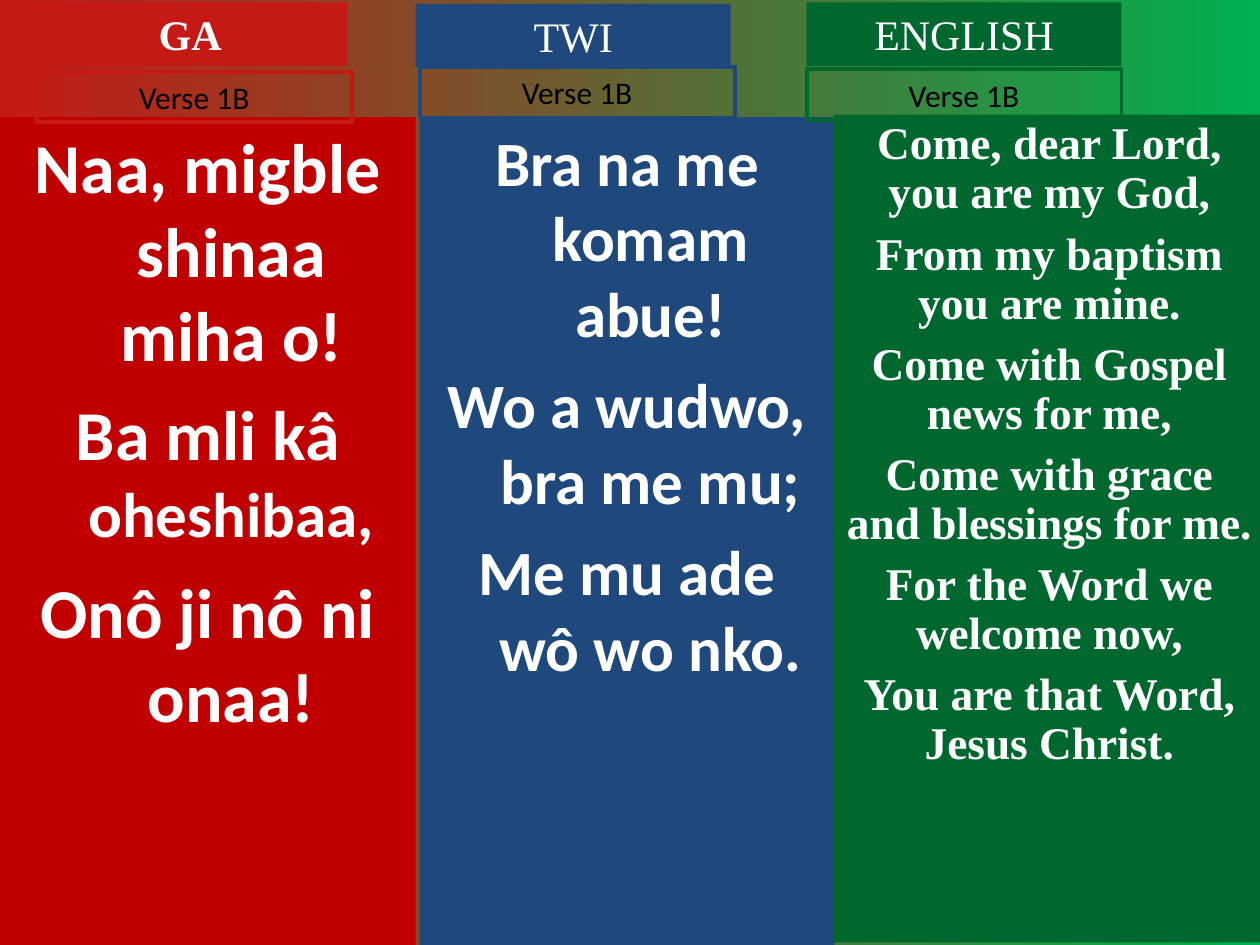
from pptx import Presentation
from pptx.dml.color import RGBColor
from pptx.enum import text
from pptx.util import Cm, Pt

SERIF, SANS = "Times New Roman", "Calibri"
WHITE, BLACK = "FFFFFF", "000000"
BACKDROP = ["C51915", "00B050"]
LABEL_WIDTH, TITLE_HEIGHT, VERSE_HEIGHT, BODY_HEIGHT = 6.35, 1.28, 1.02, 16.69
HANG = 0.95

COLUMNS = [
    {
        "title": "GA", "title_bold": True, "title_at": (0.66, 0.05),
        "verse_at": (0.74, 1.45), "accent": "C51915",
        "body_at": (0, 2.36), "body_width": 8.38, "fill": "C00000",
        "font": SANS, "hang": HANG, "line": 1.0,
        "lyrics": [
            (0, [("Naa, migble shinaa miha o!", 40)]),
            (9, [("Ba mli kâ ", 40), ("oheshibaa,", 36)]),
            (10, [("Onô ji nô ni onaa!", 40)]),
        ],
    },
    {
        "title": "TWI", "title_bold": False, "title_at": (8.38, 0.08),
        "verse_at": (8.46, 1.35), "accent": "1F497D",
        "body_at": (8.46, 2.36), "body_width": 8.36, "fill": "1F497D",
        "font": SANS, "hang": HANG, "line": 1.0,
        "lyrics": [
            (0, [("Bra na me komam abue!", 36)]),
            (9, [("Wo a wudwo, bra me mu;", 36)]),
            (9, [("Me mu ade wô wo nko.", 36)]),
        ],
    },
    {
        "title": "ENGLISH", "title_bold": False, "title_at": (16.26, 0.05),
        "verse_at": (16.26, 1.4), "accent": "00682F",
        "body_at": (16.81, 2.31), "body_width": 8.69, "fill": "00682F",
        "font": SERIF, "hang": 0, "line": 0.9,
        "lyrics": [
            (0, [("Come, dear Lord, you are my God,", 25.9)]),
            (7, [("From my baptism you are mine.", 25.9)]),
            (7, [("Come with Gospel news for me,", 25.9)]),
            (7, [("Come with grace and blessings for me.", 25.9)]),
            (7, [("For the Word we welcome now,", 25.9)]),
            (7, [("You are that Word, Jesus Christ.", 25.9)]),
        ],
    },
]


def color(value):
    return RGBColor.from_string(value)


def add_box(page, at, width, height, paragraphs, font, ink, bold=False,
            fill=None, outline=None, hang=0, line=1.0, grow=False):
    box = page.shapes.add_textbox(Cm(at[0]), Cm(at[1]), Cm(width), Cm(height))
    if fill:
        box.fill.solid()
        box.fill.fore_color.rgb = color(fill)
    if outline:
        box.line.color.rgb = color(outline)
        box.line.width = Pt(2.25)
    frame = box.text_frame
    frame.word_wrap = True
    if grow:
        frame.auto_size = text.MSO_AUTO_SIZE.SHAPE_TO_FIT_TEXT
    for index, (before, spans) in enumerate(paragraphs):
        para = frame.add_paragraph() if index else frame.paragraphs[0]
        para.alignment = text.PP_ALIGN.CENTER
        para.line_spacing = line
        para.space_before = Pt(before)
        if hang:
            properties = para._p.get_or_add_pPr()
            properties.set("marL", str(Cm(hang)))
            properties.set("indent", str(-Cm(hang)))
        for words, size in spans:
            span = para.add_run()
            span.text = words
            span.font.name = font
            span.font.size = Pt(size)
            span.font.bold = bold
            span.font.color.rgb = color(ink)


def main():
    deck = Presentation()
    deck.slide_width, deck.slide_height = Cm(25.4), Cm(19.05)
    page = deck.slides.add_slide(deck.slide_layouts[6])

    backdrop = page.background.fill
    backdrop.gradient()
    backdrop.gradient_angle = 0
    for position, (stop, value) in enumerate(zip(backdrop.gradient_stops, BACKDROP)):
        stop.position = position
        stop.color.rgb = color(value)

    for column in COLUMNS:
        add_box(page, column["body_at"], column["body_width"], BODY_HEIGHT,
                column["lyrics"], column["font"], WHITE, bold=True,
                fill=column["fill"], hang=column["hang"], line=column["line"])
    for column in COLUMNS:
        add_box(page, column["title_at"], LABEL_WIDTH, TITLE_HEIGHT,
                [(0, [(column["title"], 24)])], SERIF, WHITE,
                bold=column["title_bold"], fill=column["accent"], grow=True)
        add_box(page, column["verse_at"], LABEL_WIDTH, VERSE_HEIGHT,
                [(0, [("Verse 1B", 18)])], SANS, BLACK,
                outline=column["accent"], grow=True)

    deck.save("out.pptx")


if __name__ == "__main__":
    main()
